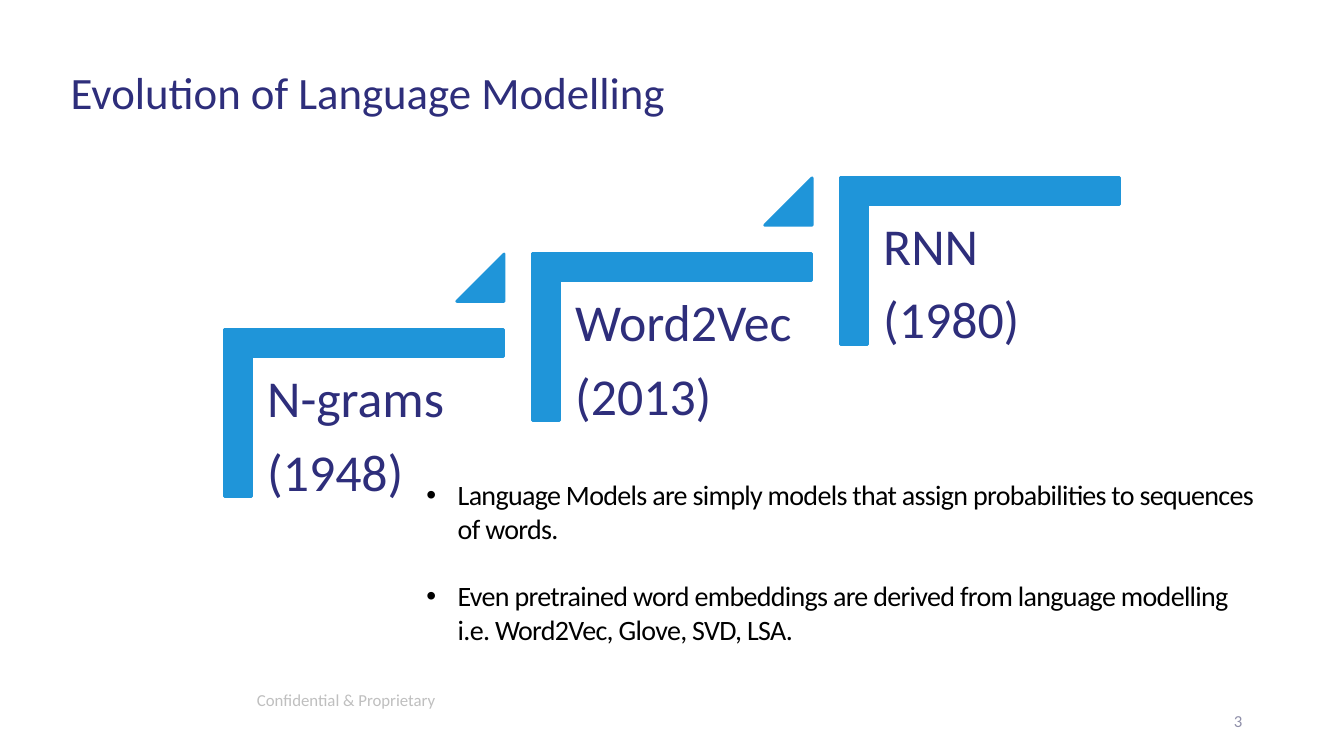
import pptx
import pptx.util
import pptx.dml.color
import pptx.enum.shapes
import pptx.enum.text
import pptx.oxml
import pptx.oxml.ns

Inches = pptx.util.Inches
Pt = pptx.util.Pt
SHAPE = pptx.enum.shapes.MSO_SHAPE
ALIGN = pptx.enum.text.PP_ALIGN
ANCHOR = pptx.enum.text.MSO_ANCHOR
NAVY, BLUE = "2E2E7B", "1F95D9"


def color(hex_value):
    return pptx.dml.color.RGBColor.from_string(hex_value)


def write(box, lines, size, font_color, inset=None, anchor=ANCHOR.TOP, **formats):
    """Fill a box with paragraphs that share one format."""
    frame = box.text_frame
    frame.word_wrap = True
    frame.auto_size = pptx.enum.text.MSO_AUTO_SIZE.NONE
    frame.vertical_anchor = anchor
    if inset is not None:
        for side in ("left", "top", "right", "bottom"):
            setattr(frame, f"margin_{side}", Inches(inset))
    for index, line in enumerate(lines):
        para = frame.paragraphs[0] if index == 0 else frame.add_paragraph()
        for name, value in formats.items():
            setattr(para, name, value)
        span = para.add_run()
        span.text = line
        for name, value in {"name": "Calibri", "size": Pt(size)}.items():
            setattr(span.font, name, value)
        span.font.color.rgb = color(font_color)
    return frame


deck = pptx.Presentation()
deck.slide_width, deck.slide_height = Inches(13.33), Inches(7.5)
page = deck.slides.add_slide(deck.slide_layouts[5])
shapes = page.shapes

# Title
title = shapes.title
title.left, title.top, title.width, title.height = map(Inches, (0.7, 0.7, 12.01, 0.73))
write(title, ["Evolution of Language Modelling"], 32, NAVY, inset=0,
      alignment=ALIGN.LEFT, line_spacing=0.9)

# Footer and page number
footer = shapes.add_textbox(Inches(2.45), Inches(6.74), Inches(4.5), Inches(0.4))
write(footer, ["Confidential & Proprietary"], 12, "BFBFBF", anchor=ANCHOR.MIDDLE)
number = shapes.add_textbox(Inches(9.42), Inches(6.95), Inches(3), Inches(0.4))
write(number, ["3"], 12, "8F8FA9", anchor=ANCHOR.MIDDLE, alignment=ALIGN.RIGHT)

# Rising staircase: a corner and label per step, a triangle between steps
steps = [("N-grams", "(1948)"), ("Word2Vec", "(2013)"), ("RNN", "(1980)")]
STEP_RIGHT, STEP_UP = 3.055, 0.755
for index, label in enumerate(steps):
    right, up = index * STEP_RIGHT, index * STEP_UP
    parts = [(SHAPE.CORNER, 2.78, 2.72, 1.66, 2.76, 90, (0.161, 0.161))]
    if index < len(steps) - 1:
        parts.append((SHAPE.ISOSCELES_TRIANGLE, 4.53, 2.52, 0.47, 0.47, 0, (1,)))
    for kind, left, top, width, height, turn, adjustments in parts:
        part = shapes.add_shape(kind, Inches(left + right), Inches(top - up),
                                Inches(width), Inches(height))
        part.rotation = turn
        for position, value in enumerate(adjustments):
            part.adjustments[position] = value
        part.shadow.inherit = False
        part.fill.solid()
        part.fill.fore_color.rgb = color(BLUE)
        part.line.color.rgb = color(BLUE)
        part.line.width = Pt(2)
    box = shapes.add_textbox(Inches(2.5 + right), Inches(3.55 - up),
                             Inches(2.5), Inches(2.19))
    write(box, label, 37, NAVY, inset=0.15, line_spacing=0.9, space_after=Pt(12.5))

# Bulleted notes
notes = shapes.add_textbox(Inches(4.23), Inches(4.74), Inches(8.23), Inches(1.46))
frame = write(notes, [
    "Language Models are simply models that assign probabilities to sequences of words.",
    "Even pretrained word embeddings are derived from language modelling "
    "i.e. Word2Vec, Glove, SVD, LSA.",
], 20, "000000", inset=0)
for para in frame.paragraphs:
    properties = para._p.get_or_add_pPr()
    properties.set("marL", str(Inches(0.31)))
    properties.set("indent", str(-Inches(0.31)))
    for tag, name, value in (("a:buFont", "typeface", "Arial"), ("a:buChar", "char", "•")):
        bullet = pptx.oxml.parse_xml(f"<{tag} {pptx.oxml.ns.nsdecls('a')}/>")
        bullet.set(name, value)
        properties.append(bullet)
    para.runs[0].font._element.set("spc", "-50")
frame.paragraphs[1].space_before = Pt(24)

deck.save("out.pptx")
